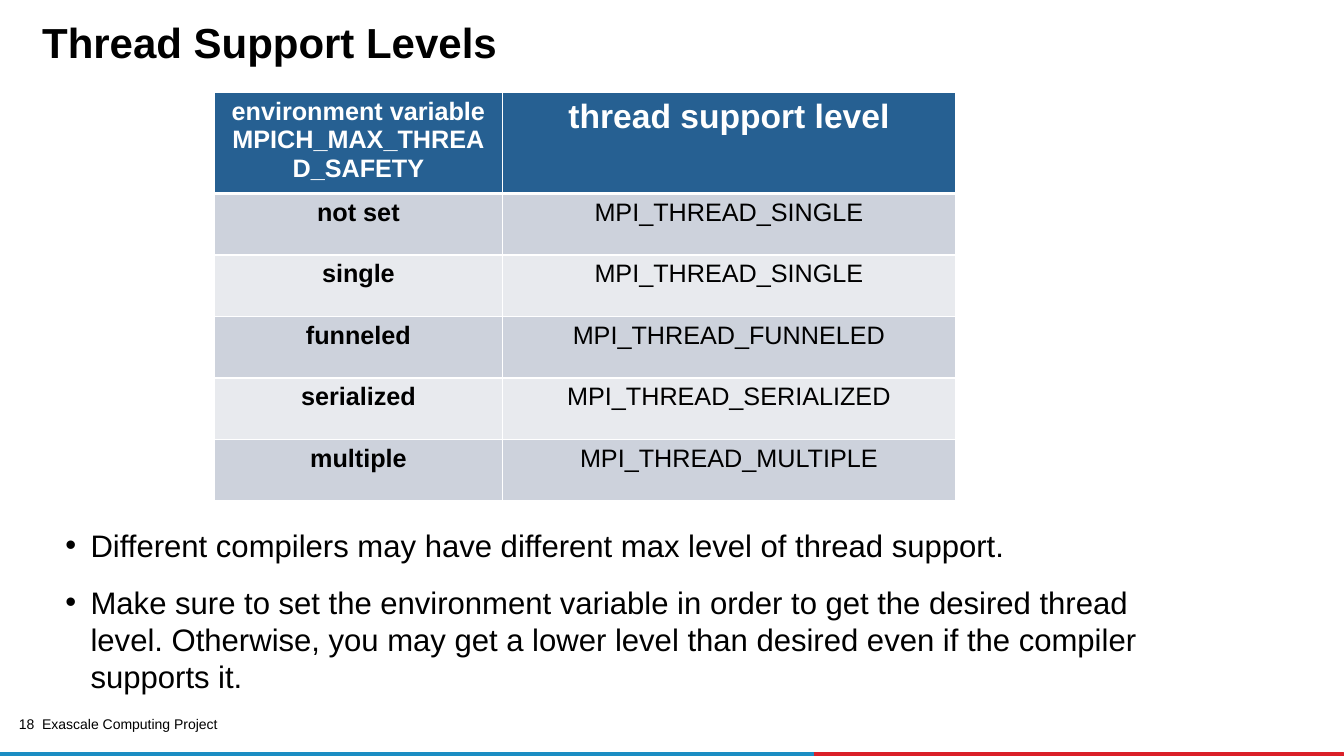
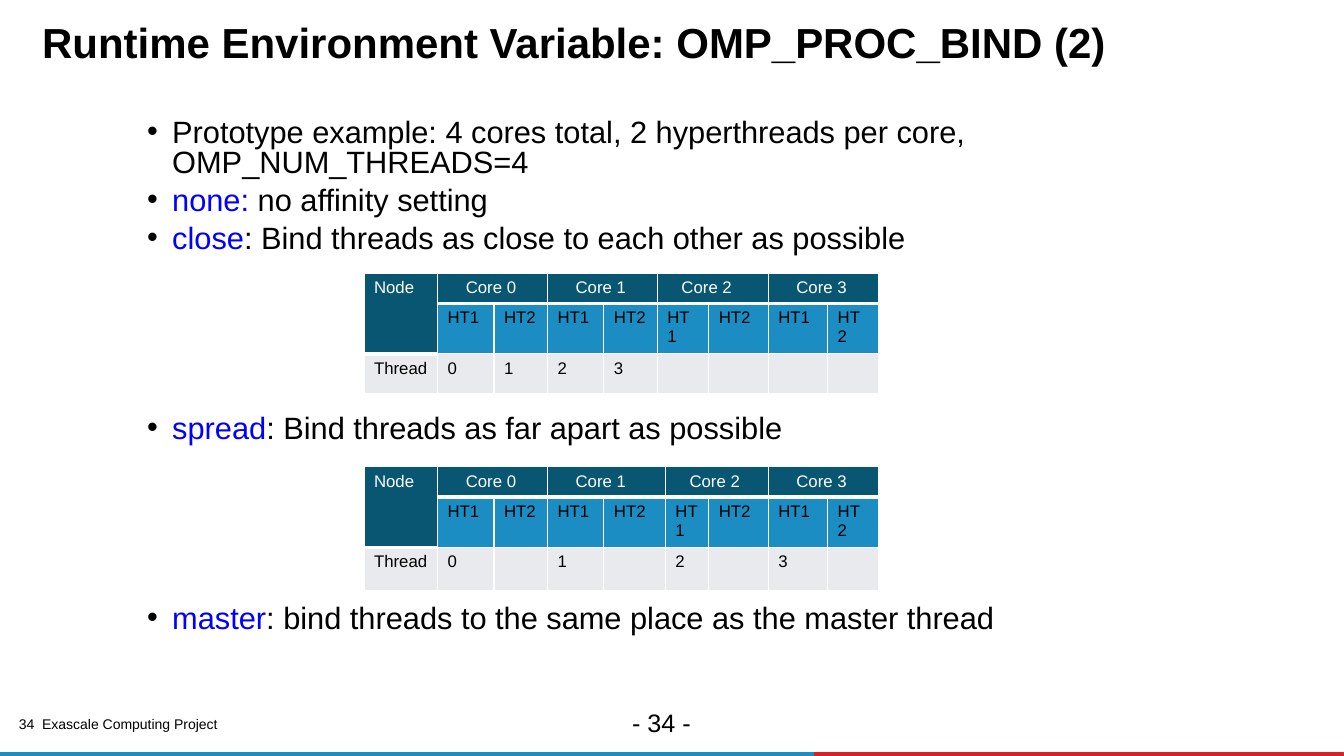
from lxml.etree import SubElement
from pptx import Presentation
from pptx.dml.color import RGBColor
from pptx.enum.shapes import MSO_SHAPE as Shape
from pptx.enum.text import MSO_ANCHOR as Anchor, PP_ALIGN as Align
from pptx.oxml.ns import qn
from pptx.util import Inches, Pt

FONT = "Arial"
BLACK, WHITE = "000000", "FFFFFF"
BLUE, RED, KEYWORD = "1B8DC3", "DA1F28", "0000FF"
HEADER, CORE = "266092", "085671"
DARK_BAND, LIGHT_BAND = "CDD2DC", "E8EAEE"


def rgb(value):
    return RGBColor.from_string(value)


class Slides:
    """Holds the deck, its style and the current page."""

    def __init__(self):
        self.deck = Presentation()
        self.deck.slide_width = Inches(13.33)
        self.deck.slide_height = Inches(7.5)
        self.page = None

    def new_page(self, title, number):
        self.page = self.deck.slides.add_slide(self.deck.slide_layouts[6])
        # Footer
        self.text(0.03, 7.12, 0.31, 0.17, str(number), 10, align=Align.RIGHT,
                  spacing=0.9, margin=0)
        self.text(0.32, 7.08, 4.22, 0.2, "Exascale Computing Project", 10,
                  anchor=Anchor.MIDDLE)
        self.bar(8.07, 5.26, RED)
        self.bar(0, 8.07, BLUE)
        # Title
        self.text(0.32, 0.19, 12.44, 0.53, title, 30, bold=True, spacing=0.85)

    def bar(self, left, width, color):
        bar = self.page.shapes.add_shape(
            Shape.RECTANGLE, Inches(left), Inches(7.47), Inches(width), Inches(0.03))
        bar.shadow.inherit = False
        bar.fill.solid()
        bar.fill.fore_color.rgb = rgb(color)
        bar.line.color.rgb = rgb(color)
        bar.line.width = Pt(0.75)

    def frame(self, left, top, width, height):
        box = self.page.shapes.add_textbox(
            Inches(left), Inches(top), Inches(width), Inches(height))
        box.text_frame.word_wrap = True
        return box.text_frame

    def style(self, para, size, color=BLACK, bold=False):
        para.font.name = FONT
        para.font.size = Pt(size)
        para.font.bold = bold
        para.font.color.rgb = rgb(color)

    def text(self, left, top, width, height, words, size, bold=False,
             align=Align.LEFT, spacing=None, anchor=Anchor.TOP, margin=None):
        frame = self.frame(left, top, width, height)
        frame.vertical_anchor = anchor
        if margin is not None:
            frame.margin_left = frame.margin_right = Inches(margin)
            frame.margin_top = frame.margin_bottom = Inches(margin)
        para = frame.paragraphs[0]
        para.text = words
        para.alignment = align
        para.line_spacing = spacing
        self.style(para, size, bold=bold)

    def bullets(self, left, top, width, height, items, size, before, spacing=None):
        """Each item is a pair: a coloured keyword, then the plain text."""
        frame = self.frame(left, top, width, height)
        for index, (keyword, words) in enumerate(items):
            para = frame.add_paragraph() if index else frame.paragraphs[0]
            self.bullet(para)
            para.line_spacing = spacing
            if index:
                para.space_before = Pt(before)
            self.style(para, size)
            if keyword:
                span = para.add_run()
                span.text = keyword
                span.font.color.rgb = rgb(KEYWORD)
            para.add_run().text = words

    def bullet(self, para):
        props = para._p.get_or_add_pPr()
        props.set("marL", str(Inches(0.25)))
        props.set("indent", str(-Inches(0.25)))
        color = SubElement(props, qn("a:buClr"))
        SubElement(color, qn("a:srgbClr"), val=BLACK)
        SubElement(props, qn("a:buFont"), typeface=FONT)
        SubElement(props, qn("a:buChar"), char="•")

    def table(self, left, top, widths, heights):
        shape = self.page.shapes.add_table(
            len(heights), len(widths), Inches(left), Inches(top),
            Inches(sum(widths)), Inches(sum(heights)))
        for column, width in zip(shape.table.columns, widths):
            column.width = Inches(width)
        for row, height in zip(shape.table.rows, heights):
            row.height = Inches(height)
        return shape.table

    def cell(self, cell, words, size, color, fill, bold=False,
             align=Align.LEFT, top_line=1, bottom_line=1):
        para = cell.text_frame.paragraphs[0]
        para.text = words
        para.alignment = align
        self.style(para, size, color, bold)
        # Borders come before the fill in the cell properties
        props = cell._tc.get_or_add_tcPr()
        for side, weight in (("L", 1), ("R", 1), ("T", top_line), ("B", bottom_line)):
            line = SubElement(props, qn(f"a:ln{side}"), w=str(Pt(weight)))
            solid = SubElement(line, qn("a:solidFill"))
            SubElement(solid, qn("a:srgbClr"), val=WHITE)
        cell.fill.solid()
        cell.fill.fore_color.rgb = rgb(fill)

    def level_table(self, left, top, widths, heights, rows):
        table = self.table(left, top, widths, heights)
        for r, row in enumerate(rows):
            for c, words in enumerate(row):
                fill = (DARK_BAND if r % 2 else LIGHT_BAND) if r else HEADER
                self.cell(table.cell(r, c), words,
                          24 if (r, c) == (0, 1) else 18,
                          BLACK if r else WHITE, fill,
                          bold=r == 0 or c == 0, align=Align.CENTER,
                          top_line=3 if r == 1 else 1, bottom_line=1 if r else 3)

    def core_table(self, top, widths, heights, threads):
        """Four cores with two hyperthreads each, and the thread on each one."""
        table = self.table(3.61, top, widths, heights)
        table.cell(0, 0).merge(table.cell(1, 0))
        cores = ["Node"]
        for core in range(4):
            first = 1 + 2 * core
            table.cell(0, first).merge(table.cell(0, first + 1))
            cores += [f"Core {core}", ""]
        rows = [cores, [""] + ["HT1", "HT2"] * 4, ["Thread"] + threads]
        for r, row in enumerate(rows):
            for c, words in enumerate(row):
                cell = table.cell(r, c)
                dark = r == 0 or cell.is_spanned
                self.cell(cell, words, 12, WHITE if dark else BLACK,
                          CORE if dark else (BLUE if r == 1 else LIGHT_BAND),
                          top_line=3 if r == 1 else 1, bottom_line=3 if dark else 1)
                if words.startswith("Core"):
                    cell.margin_left = Inches(0.24 if words == "Core 2" else 0.28)


def thread_levels(slides):
    slides.new_page("Thread Support Levels", 18)
    slides.level_table(2.13, 0.92, [2.85, 4.5], [0.91] + [0.61] * 5, [
        ("environment variable MPICH_MAX_THREAD_SAFETY", "thread support level"),
        ("not set", "MPI_THREAD_SINGLE"),
        ("single", "MPI_THREAD_SINGLE"),
        ("funneled", "MPI_THREAD_FUNNELED"),
        ("serialized", "MPI_THREAD_SERIALIZED"),
        ("multiple", "MPI_THREAD_MULTIPLE"),
    ])
    slides.bullets(0.55, 5.17, 11.55, 1.72, [
        ("", "Different compilers may have different max level of thread support."),
        ("", "Make sure to set the environment variable in order to get the desired "
             "thread level. Otherwise, you may get a lower level than desired even "
             "if the compiler supports it."),
    ], 22.2, 14)


def proc_bind(slides):
    slides.new_page("Runtime Environment Variable: OMP_PROC_BIND (2)", 34)
    slides.text(6.17, 6.97, 1.01, 0.4, "- 34 -", 18)
    # Binding policies, around the tables
    policies = [
        (1.14, 1.5, [
            ("", "Prototype example: 4 cores total, 2 hyperthreads per core, "
                 "OMP_NUM_THREADS=4"),
            ("none:", " no affinity setting"),
            ("close", ": Bind threads as close to each other as possible"),
        ]),
        (4.08, 0.4, [("spread", ": Bind threads as far apart as possible")]),
        (5.96, 0.4, [("master", ": bind threads to the same place as the master thread")]),
    ]
    for top, height, items in policies:
        slides.bullets(1.36, top, 11.22, height, items, 22, 6, spacing=0.8)
    # Thread placement: close, then spread
    slides.core_table(2.71, [0.73, 0.56, 0.53, 0.56, 0.53, 0.51, 0.59, 0.59, 0.51],
                      [0.28, 0.46, 0.39], ["0", "1", "2", "3", "", "", "", ""])
    slides.core_table(4.63, [0.73, 0.56, 0.53, 0.56, 0.61, 0.43, 0.59, 0.59, 0.51],
                      [0.28, 0.46, 0.43], ["0", "", "1", "", "2", "", "3", ""])


def main():
    slides = Slides()
    thread_levels(slides)
    proc_bind(slides)
    slides.deck.save("out.pptx")


if __name__ == "__main__":
    main()
